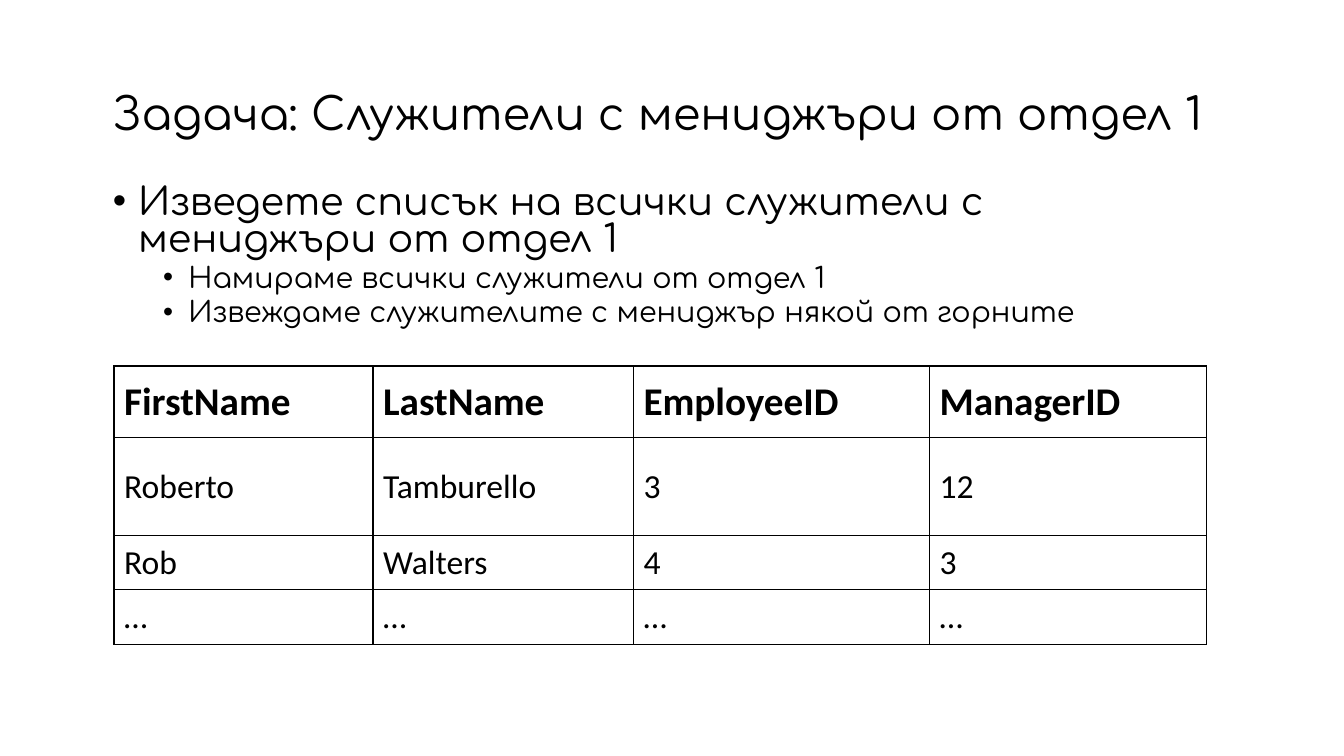
from lxml.etree import SubElement
from pptx import Presentation
from pptx.dml.color import RGBColor
from pptx.enum.text import MSO_ANCHOR, MSO_AUTO_SIZE, PP_ALIGN
from pptx.oxml import parse_xml
from pptx.oxml.ns import qn
from pptx.util import Pt

BLACK = RGBColor(0, 0, 0)
WHITE = RGBColor(255, 255, 255)
HEADING_FONT = "Comfortaa"
TABLE_FONT = "Calibri"
DRAWING = "http://schemas.openxmlformats.org/drawingml/2006/main"

TITLE = "Задача: Служители с мениджъри от отдел 1"
TASK = [
    (0, "Изведете списък на всички служители с мениджъри от отдел 1"),
    (1, "Намираме всички служители от отдел 1"),
    (1, "Извеждаме служителите с мениджър някой от горните"),
]
EMPLOYEES = [
    ["FirstName", "LastName", "EmployeeID", "ManagerID"],
    ["Roberto", "Tamburello", "3", "12"],
    ["Rob", "Walters", "4", "3"],
    ["…"] * 4,
]
COLUMN_WIDTHS = [185, 186, 211.5, 198]
ROW_HEIGHTS = [51.2, 69.6, 39, 39]


def write(para, text, font, size, bold=False, spacing=1.0, before=0):
    para.alignment = PP_ALIGN.LEFT
    para.line_spacing = spacing
    para.space_before = Pt(before)
    span = para.add_run()
    span.text = text
    span.font.name = font
    span.font.size = Pt(size)
    span.font.bold = bold
    span.font.color.rgb = BLACK


def add_bullet(para, left, hanging):
    properties = para._p.get_or_add_pPr()
    properties.set("marL", str(Pt(left)))
    properties.set("indent", str(Pt(-hanging)))
    SubElement(properties, qn("a:buFont"), typeface="Arial")
    SubElement(properties, qn("a:buChar"), char="•")


def add_title(page, left, top, width, height):
    title = page.shapes.title
    title.left, title.top = Pt(left), Pt(top)
    title.width, title.height = Pt(width), Pt(height)
    frame = title.text_frame
    frame.word_wrap = True
    frame.auto_size = MSO_AUTO_SIZE.NONE
    frame.vertical_anchor = MSO_ANCHOR.MIDDLE
    write(frame.paragraphs[0], TITLE, HEADING_FONT, 32, spacing=0.9)


def add_task(page, left, top, width, height):
    box = page.shapes.add_textbox(Pt(left), Pt(top), Pt(width), Pt(height))
    frame = box.text_frame
    frame.word_wrap = True
    for index, (level, text) in enumerate(TASK):
        para = frame.add_paragraph() if index else frame.paragraphs[0]
        para.level = level
        add_bullet(para, 18 + 36 * level, 18)
        write(para, text, HEADING_FONT, 20.4 if level else 27.2,
              spacing=0.8, before=5 if index else 0)


def add_borders(cell):
    properties = cell._tc.get_or_add_tcPr()
    for position, side in enumerate("LRTB"):
        properties.insert(position, parse_xml(
            f'<a:ln{side} xmlns:a="{DRAWING}" w="{Pt(1)}"><a:solidFill>'
            f'<a:srgbClr val="{BLACK}"/></a:solidFill></a:ln{side}>'))


def add_employees(page, left, top):
    frame = page.shapes.add_table(
        len(EMPLOYEES), len(COLUMN_WIDTHS), Pt(left), Pt(top),
        Pt(sum(COLUMN_WIDTHS)), Pt(sum(ROW_HEIGHTS)))
    table = frame.table
    table.horz_banding = False
    for column, width in zip(table.columns, COLUMN_WIDTHS):
        column.width = Pt(width)
    for row_index, (row, height) in enumerate(zip(table.rows, ROW_HEIGHTS)):
        row.height = Pt(height)
        header = row_index == 0
        for cell, text in zip(row.cells, EMPLOYEES[row_index]):
            cell.vertical_anchor = MSO_ANCHOR.MIDDLE
            cell.fill.solid()
            cell.fill.fore_color.rgb = WHITE
            add_borders(cell)
            write(cell.text_frame.paragraphs[0], text, TABLE_FONT,
                  28 if header else 24, bold=header, spacing=0.95)


def main():
    deck = Presentation()
    deck.slide_width, deck.slide_height = Pt(960), Pt(540)
    page = deck.slides.add_slide(deck.slide_layouts[5])
    add_task(page, 73.5, 129.6, 787.5, 113)
    add_title(page, 73.5, 26, 813, 113)
    add_employees(page, 81.5, 261.5)
    deck.save("out.pptx")


if __name__ == "__main__":
    main()
